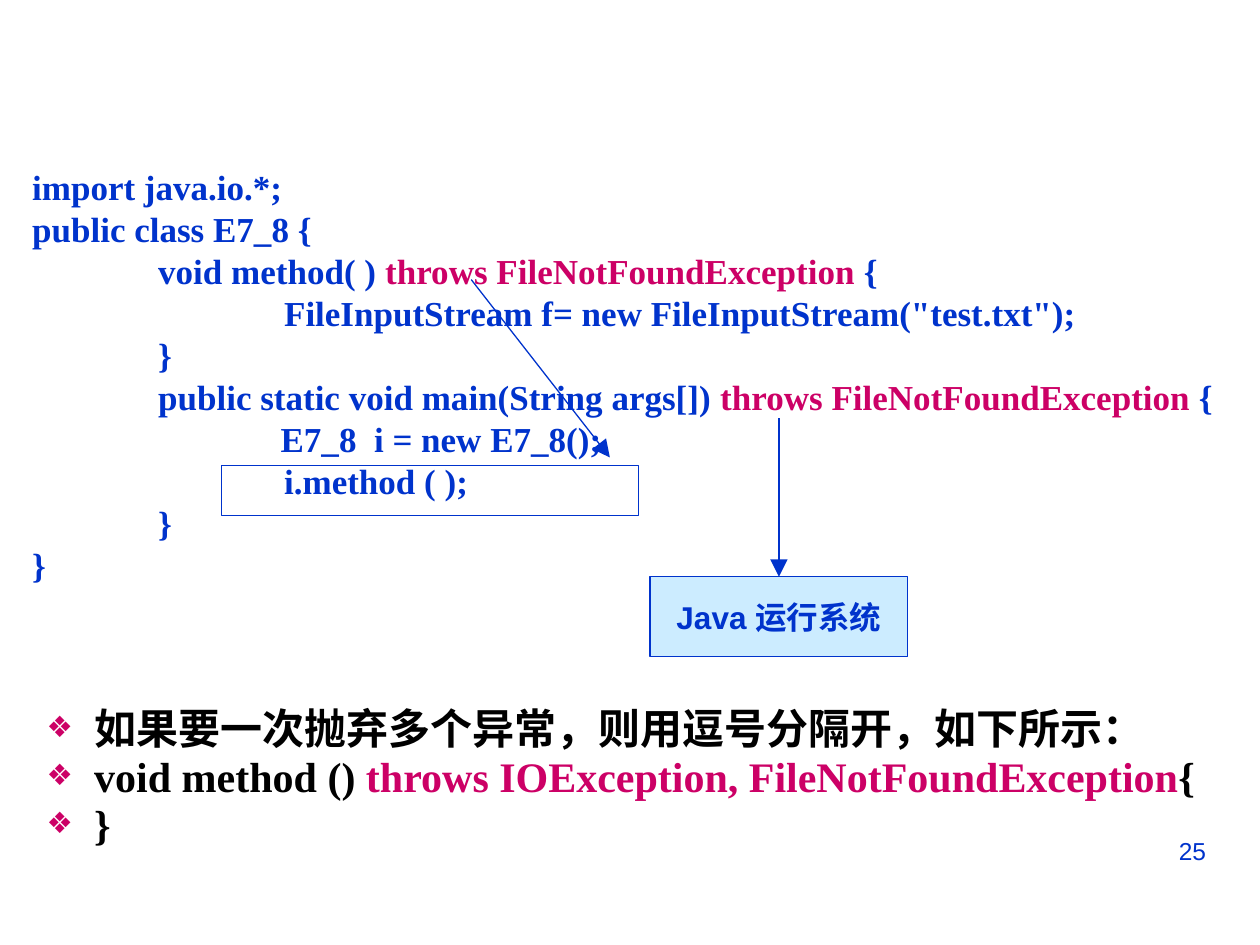
import pptx
import pptx.util
import pptx.dml.color
import pptx.enum.shapes
import pptx.enum.text
import pptx.oxml.ns
from lxml import etree

Pt = pptx.util.Pt
ALIGN = pptx.enum.text.PP_ALIGN
ANCHOR = pptx.enum.text.MSO_ANCHOR
BLUE, PINK, BLACK, PALE = "0033CC", "CC0066", "000000", "CCECFF"
SERIF, SANS = "Times New Roman", "Arial"

# Each line is a list of (text, colour) runs
CODE = [
    [("import java.io.*;", BLUE)],
    [("public class E7_8 {", BLUE)],
    [("\tvoid method( ) ", BLUE), ("throws FileNotFoundException", PINK), (" {", BLUE)],
    [('\t\tFileInputStream f= new FileInputStream("test.txt");', BLUE)],
    [("\t}", BLUE)],
    [(" \tpublic static void main(String args[]) ", BLUE),
     ("throws FileNotFoundException", PINK), (" {", BLUE)],
    [(" \t              E7_8  i = new E7_8();", BLUE)],
    [("\t\ti.method ( );", BLUE)],
    [("\t}", BLUE)],
    [("}", BLUE)],
]
NOTES = [
    (SANS, [("如果要一次抛弃多个异常，则用逗号分隔开，如下所示：", BLACK)]),
    (SERIF, [("void method () ", BLACK),
             ("throws IOException, FileNotFoundException", PINK), ("{", BLACK)]),
    (SERIF, [("}", BLACK)]),
]


def color(value):
    return pptx.dml.color.RGBColor.from_string(value)


def apply_format(target, values):
    for name, value in values.items():
        setattr(target, name, value)


def add_child(parent, tag, **attributes):
    return etree.SubElement(parent, pptx.oxml.ns.qn(tag), **attributes)


def write_runs(paragraph, runs, **font):
    for text, run_color in runs:
        run = paragraph.add_run()
        run.text = text
        apply_format(run.font, font)
        run.font.color.rgb = color(run_color)


def line_paragraph(frame, index):
    return frame.add_paragraph() if index else frame.paragraphs[0]


def add_tab_stops(paragraph, stops):
    tab_list = add_child(paragraph._p.get_or_add_pPr(), "a:tabLst")
    for stop in stops:
        add_child(tab_list, "a:tab", pos=str(Pt(stop)), algn="l")


def add_text(slide, box, lines, paragraph_format, tab_stops=(), **font):
    frame = slide.shapes.add_textbox(*map(Pt, box)).text_frame
    frame.word_wrap = True
    for index, runs in enumerate(lines):
        paragraph = line_paragraph(frame, index)
        if tab_stops:
            add_tab_stops(paragraph, tab_stops)
        apply_format(paragraph, paragraph_format)
        write_runs(paragraph, runs, **font)


def add_box(slide, box, fill=None):
    shape = slide.shapes.add_shape(pptx.enum.shapes.MSO_SHAPE.RECTANGLE, *map(Pt, box))
    shape.shadow.inherit = False
    if fill:
        shape.fill.solid()
        shape.fill.fore_color.rgb = color(fill)
    else:
        shape.fill.background()
    shape.line.color.rgb = color(BLUE)
    shape.line.width = Pt(0.75)
    return shape


def add_arrow(slide, start, end):
    arrow = slide.shapes.add_connector(
        pptx.enum.shapes.MSO_CONNECTOR.STRAIGHT, *map(Pt, start + end))
    arrow.line.color.rgb = color(BLUE)
    arrow.line.width = Pt(0.75)
    add_child(arrow.line._get_or_add_ln(), "a:tailEnd", type="triangle", w="lg", len="lg")
    add_child(arrow._element.spPr, "a:effectLst")
    return arrow


def add_bullet(paragraph):
    properties = paragraph._p.get_or_add_pPr()
    properties.set("marL", str(Pt(27.2)))
    properties.set("indent", str(-Pt(27.2)))
    bullet_color = add_child(properties, "a:buClr")
    add_child(bullet_color, "a:srgbClr", val=PINK)
    add_child(properties, "a:buSzPct", val="70000")
    add_child(properties, "a:buChar", char="❖")


def fill_notes(placeholder, box):
    apply_format(placeholder, dict(zip(("left", "top", "width", "height"), map(Pt, box))))
    frame = placeholder.text_frame
    apply_format(frame, {"word_wrap": True, "vertical_anchor": ANCHOR.TOP,
                         "auto_size": pptx.enum.text.MSO_AUTO_SIZE.NONE})
    for index, (font_name, runs) in enumerate(NOTES):
        paragraph = line_paragraph(frame, index)
        add_bullet(paragraph)
        apply_format(paragraph, {"line_spacing": 0.8, "alignment": ALIGN.LEFT,
                                 "space_before": Pt(4.6 if index else 0)})
        write_runs(paragraph, runs, name=font_name, size=Pt(24), bold=True)


def main():
    presentation = pptx.Presentation()
    apply_format(presentation, {"slide_width": Pt(720), "slide_height": Pt(540)})
    slide = presentation.slides.add_slide(presentation.slide_layouts[1])
    title = slide.shapes.title._element
    title.getparent().remove(title)

    # Page number and code listing
    add_text(slide, (516.3, 474, 180, 37), [[("25", BLUE)]],
             {"alignment": ALIGN.RIGHT}, name=SANS, size=Pt(14))
    add_text(slide, (11.3, 90.9, 705.6, 250), CODE, {"line_spacing": Pt(24)},
             tab_stops=(72, 144), name=SERIF, size=Pt(20), bold=True)

    # Frame around the call, and the runtime box
    add_box(slide, (126.7, 266.2, 238.3, 28.2))
    runtime = add_box(slide, (371.4, 329.6, 147.4, 45.6), PALE)
    apply_format(runtime.text_frame, {"word_wrap": False, "vertical_anchor": ANCHOR.MIDDLE})
    paragraph = runtime.text_frame.paragraphs[0]
    paragraph.alignment = ALIGN.CENTER
    write_runs(paragraph, [("Java 运行系统", BLUE)], name=SANS, size=Pt(18), bold=True)

    # Arrows showing where each exception goes
    add_arrow(slide, (269.3, 159.8), (348.5, 261.4))
    add_arrow(slide, (445.1, 239), (445.1, 329.6)).end_connect(runtime, 0)

    # Notes below the code
    fill_notes(slide.placeholders[1], (19.4, 403.2, 674.6, 93.6))
    presentation.save("out.pptx")


if __name__ == "__main__":
    main()
